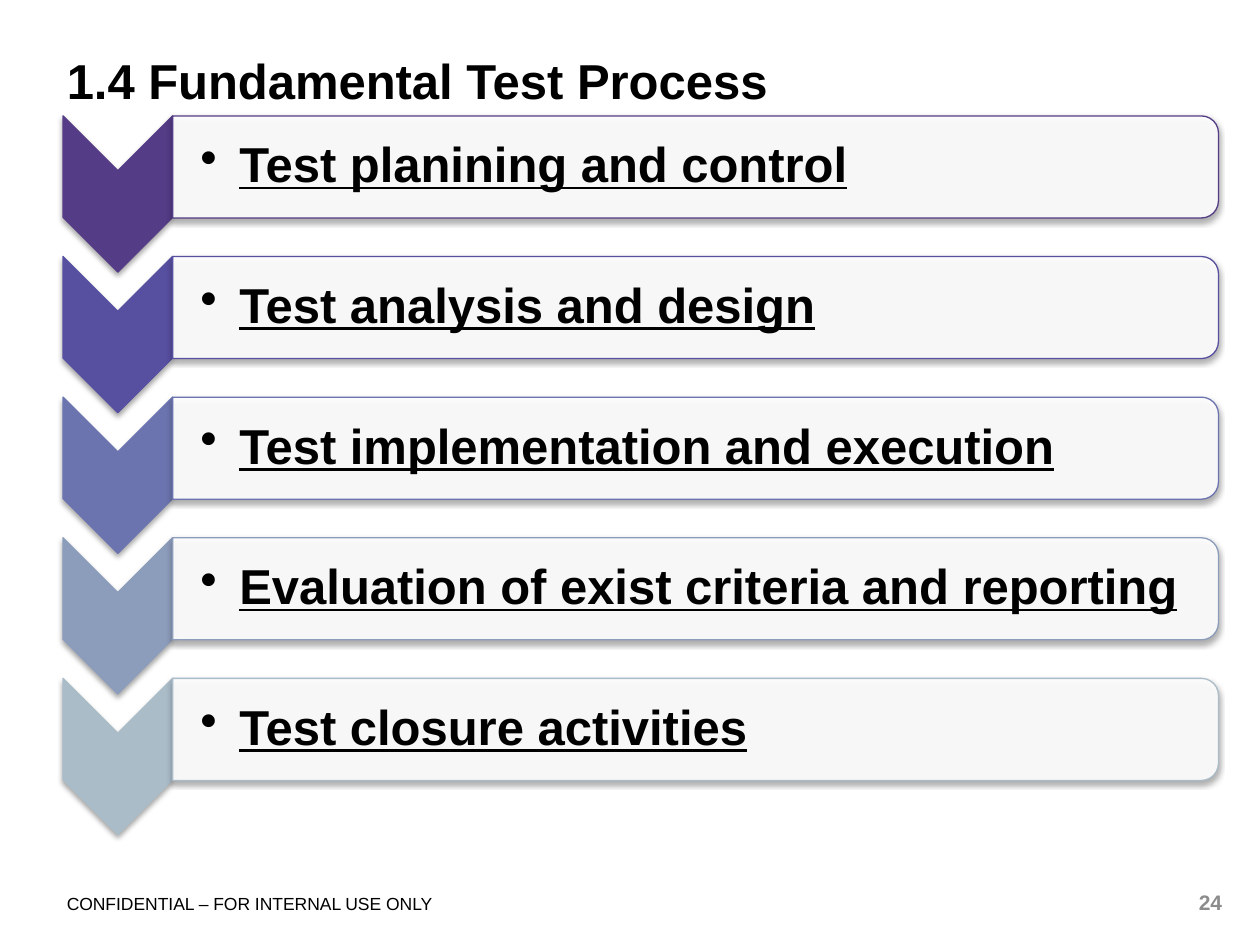
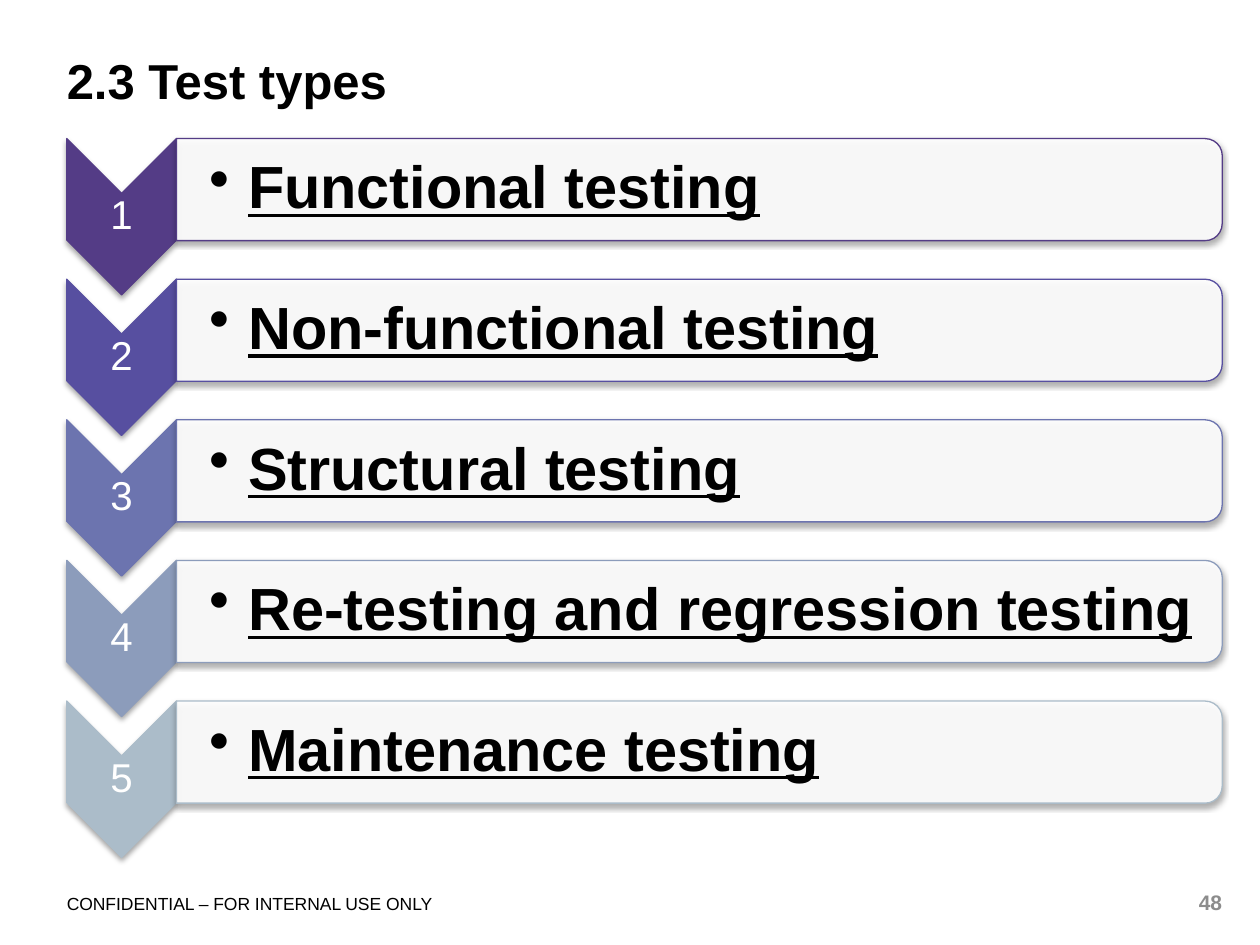
from lxml import etree
from pptx import Presentation
from pptx.dml.color import RGBColor
from pptx.enum.shapes import MSO_SHAPE
from pptx.enum.text import MSO_ANCHOR, MSO_AUTO_SIZE, PP_ALIGN
from pptx.oxml.ns import qn
from pptx.util import Inches, Pt

CHEVRON = MSO_SHAPE.CHEVRON
ROUNDED_BAR = MSO_SHAPE.ROUND_2_SAME_RECTANGLE
MIDDLE, TOP = MSO_ANCHOR.MIDDLE, MSO_ANCHOR.TOP
LEFT, CENTER, RIGHT = PP_ALIGN.LEFT, PP_ALIGN.CENTER, PP_ALIGN.RIGHT
NO_AUTOFIT = MSO_AUTO_SIZE.NONE

BLACK = RGBColor(0x00, 0x00, 0x00)
WHITE = RGBColor(0xFF, 0xFF, 0xFF)
GRAY = RGBColor(0x8C, 0x8C, 0x8C)
STEP_COLORS = [
    RGBColor(0x54, 0x3C, 0x86),
    RGBColor(0x57, 0x4F, 0xA0),
    RGBColor(0x6C, 0x74, 0xAF),
    RGBColor(0x8C, 0x9C, 0xBB),
    RGBColor(0xAB, 0xBC, 0xC9),
]

FONT = "Arial"
FOOTER = "CONFIDENTIAL – FOR INTERNAL USE ONLY"
MARGIN = 0.53
STEP_PITCH = 1.116
CHEVRON_WIDTH, CHEVRON_HEIGHT = 0.87, 1.24
BAR_WIDTH, BAR_HEIGHT = 8.3, 0.81
LABEL_WIDTH, LABEL_HEIGHT = 8.26, 0.73
NUMBER_HEIGHT = 0.37
HANGING = Inches(0.31)


def add_child(parent, tag, **attributes):
    child = etree.SubElement(parent, qn(tag))
    for name, value in attributes.items():
        child.set(name, str(value))
    return child


def write_text(box, text, size, color, align=LEFT, anchor=TOP, bold=False,
               underline=False, insets=(0, 0), spacing=None, bullet=False):
    frame = box.text_frame
    frame.text = text
    frame.word_wrap = True
    frame.auto_size = NO_AUTOFIT
    frame.vertical_anchor = anchor
    left, other = insets
    frame.margin_left = Inches(left)
    frame.margin_top = frame.margin_right = frame.margin_bottom = Inches(other)
    para = frame.paragraphs[0]
    para.alignment = align
    if spacing:
        para.line_spacing = spacing
    if bullet:
        properties = para._p.get_or_add_pPr()
        properties.set("marL", str(HANGING))
        properties.set("indent", str(-HANGING))
        add_child(properties, "a:buChar", char="•")
    font = para.runs[0].font
    font.name, font.size, font.bold = FONT, Pt(size), bold
    font.underline = underline
    font.color.rgb = color


def add_text(page, left, top, width, height, text, size, color, **style):
    box = page.shapes.add_textbox(Inches(left), Inches(top),
                                  Inches(width), Inches(height))
    write_text(box, text, size, color, **style)


def add_shadow(shape):
    shape.shadow.inherit = False
    effects = shape._element.spPr.find(qn("a:effectLst"))
    shadow = add_child(effects, "a:outerShdw", blurRad=Pt(3.15), dist=Pt(1.8),
                       dir=5400000, rotWithShape=0)
    color = add_child(shadow, "a:srgbClr", val="000000")
    add_child(color, "a:alpha", val=35000)


def add_turned_shape(page, kind, left, top, width, height, fill, line):
    shape = page.shapes.add_shape(
        kind, Inches(left + (width - height) / 2),
        Inches(top + (height - width) / 2), Inches(height), Inches(width))
    shape.rotation = 90
    shape.fill.solid()
    shape.fill.fore_color.rgb = fill
    shape.line.color.rgb = line
    shape.line.width = Pt(0.75)
    add_shadow(shape)
    return shape


def add_step(page, left, top, color, label, size, inset, number=None):
    add_turned_shape(page, CHEVRON, left, top, CHEVRON_WIDTH, CHEVRON_HEIGHT,
                     color, color)
    if number:
        add_text(page, left, top + (CHEVRON_HEIGHT - NUMBER_HEIGHT) / 2,
                 CHEVRON_WIDTH, NUMBER_HEIGHT, str(number), 23, WHITE,
                 align=CENTER, anchor=MIDDLE, insets=(0.02, 0.02), spacing=0.9)
    bar_left = left + CHEVRON_WIDTH
    bar = add_turned_shape(page, ROUNDED_BAR, bar_left, top, BAR_WIDTH,
                           BAR_HEIGHT, WHITE, color)
    fill_color = bar._element.spPr.find(qn("a:solidFill"))[0]
    add_child(fill_color, "a:alpha", val=90000)
    add_text(page, bar_left, top + (BAR_HEIGHT - LABEL_HEIGHT) / 2,
             LABEL_WIDTH, LABEL_HEIGHT, label, size, BLACK, anchor=MIDDLE,
             bold=True, underline=True, insets=(inset, 0.02), spacing=0.9,
             bullet=True)


def add_steps(page, left, top, labels, size, inset, numbered=False):
    for index, (label, color) in enumerate(zip(labels, STEP_COLORS)):
        add_step(page, left, top + index * STEP_PITCH, color, label, size,
                 inset, index + 1 if numbered else None)


def add_page(deck, title, number):
    page = deck.slides.add_slide(deck.slide_layouts[5])
    box = page.shapes.title
    box.left, box.top = Inches(MARGIN), Inches(0.37)
    box.width, box.height = Inches(9.17), Inches(0.59)
    write_text(box, title, 28, BLACK, anchor=MIDDLE, bold=True, spacing=0.9)
    add_text(page, MARGIN, 7.09, 4.42, 0.2, FOOTER, 10, BLACK)
    add_text(page, 9.31, 7.06, 0.39, 0.2, str(number), 12, GRAY,
             align=RIGHT, bold=True)
    return page


def main():
    deck = Presentation()
    deck.slide_width, deck.slide_height = Inches(10), Inches(7.5)

    process = add_page(deck, "1.4 Fundamental Test Process", 24)
    add_steps(process, 0.5, 0.92, [
        "Test planining and control",
        "Test analysis and design",
        "Test implementation and execution",
        "Evaluation of exist criteria and reporting",
        "Test closure activities",
    ], size=28, inset=0.22)

    types = add_page(deck, "2.3 Test types", 48)
    add_steps(types, MARGIN, 1.1, [
        "Functional testing",
        "Non-functional testing",
        "Structural testing",
        "Re-testing and regression testing",
        "Maintenance testing",
    ], size=34, inset=0.26, numbered=True)

    deck.save("out.pptx")


if __name__ == "__main__":
    main()
